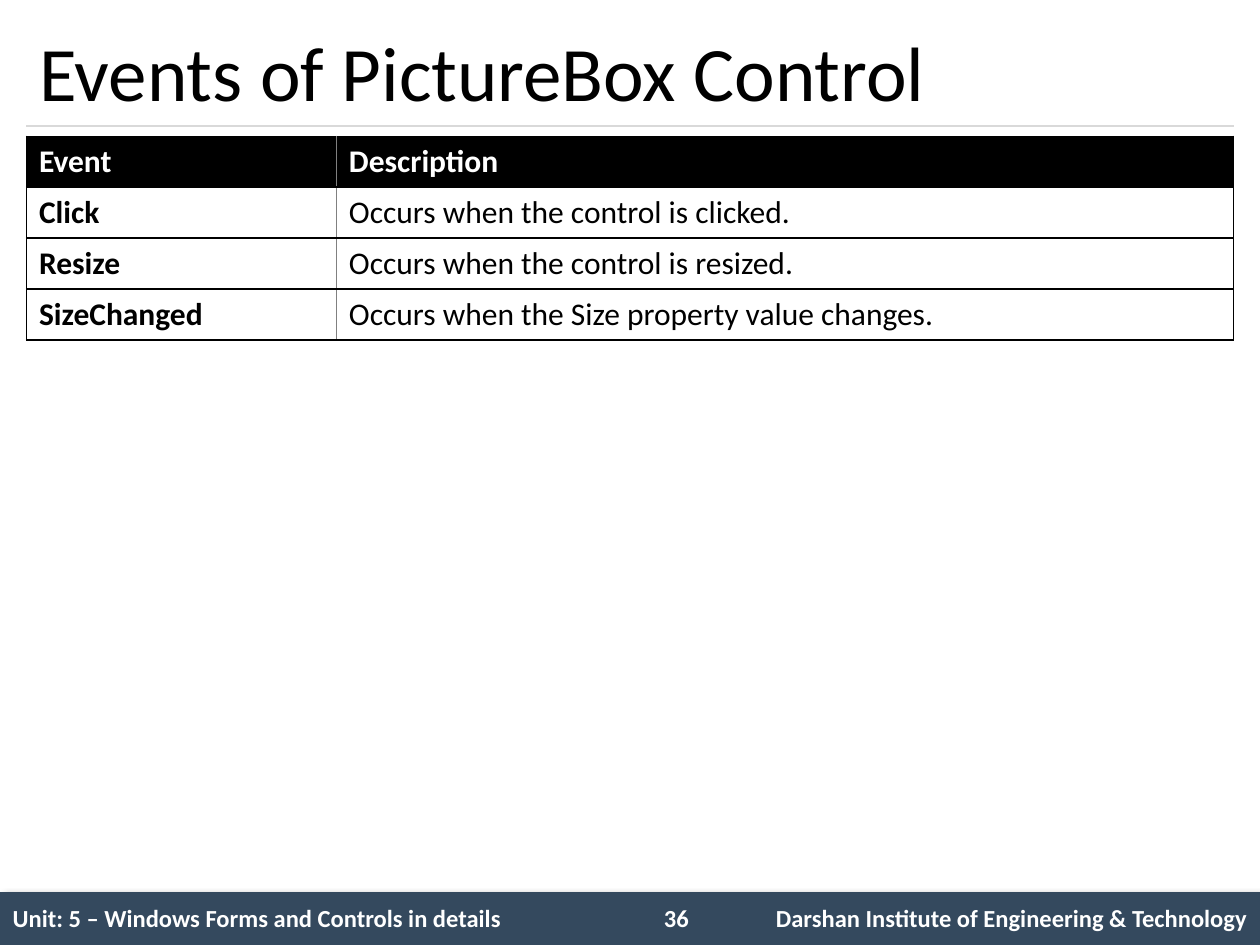
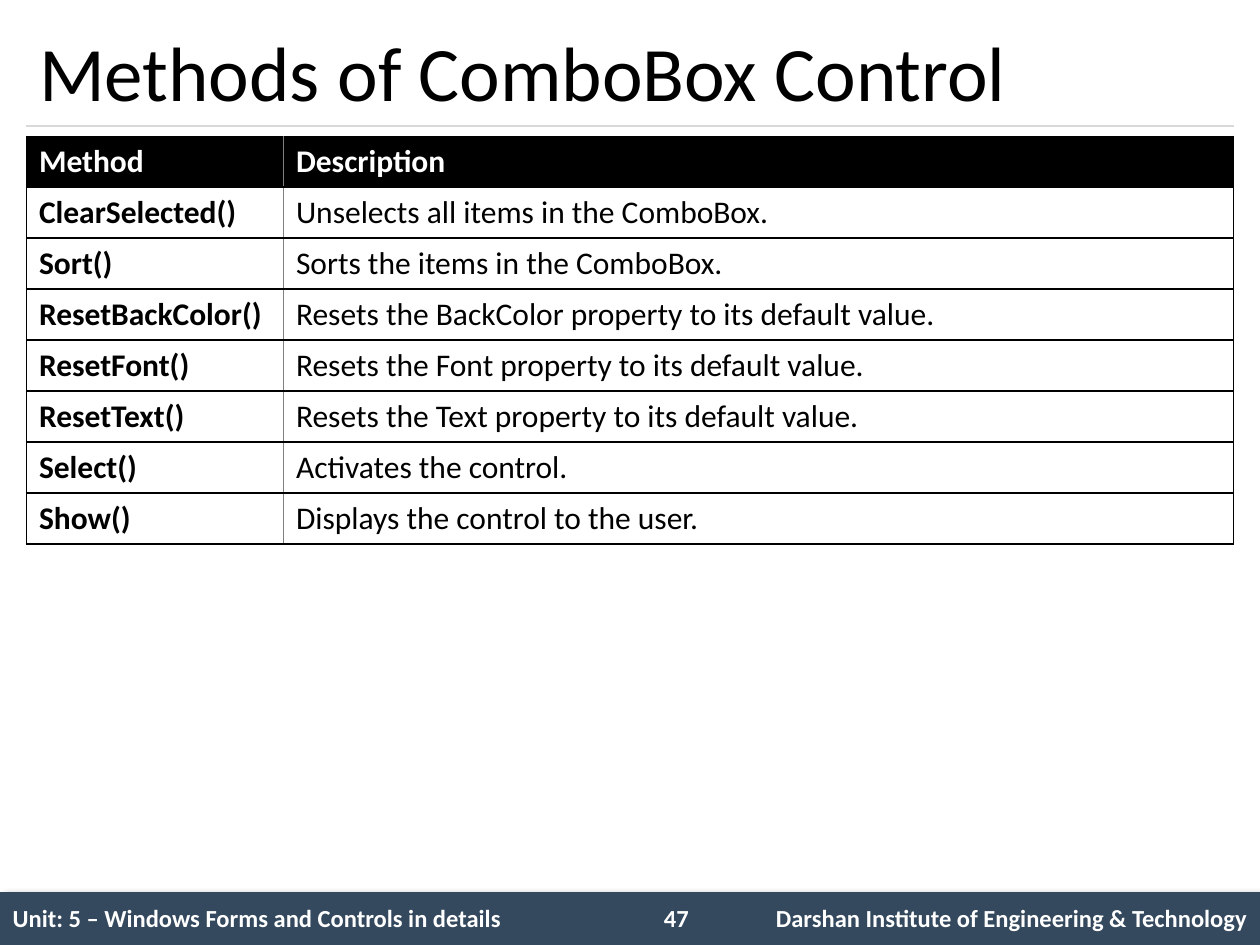
"""Build two reference slides on form controls, each a title, a table and a footer."""
from lxml import etree
from pptx import Presentation, util as u
from pptx.dml.color import RGBColor
from pptx.enum import shapes, text
from pptx.oxml import parse_xml
from pptx.oxml.ns import qn, nsdecls

UNIT = "Unit: 5 – Windows Forms and Controls in details"
SCHOOL = "Darshan Institute of Engineering & Technology"
SLIDES = [
    {"title": "Events of PictureBox Control", "page": "36", "first": 2.46, "rows": [
        ("Event", "Description"),
        ("Click", "Occurs when the control is clicked."),
        ("Resize", "Occurs when the control is resized."),
        ("SizeChanged", "Occurs when the Size property value changes."),
    ]},
    {"title": "Methods of ComboBox Control", "page": "47", "first": 2.04, "rows": [
        ("Method", "Description"),
        ("ClearSelected()", "Unselects all items in the ComboBox."),
        ("Sort()", "Sorts the items in the ComboBox."),
        ("ResetBackColor()", "Resets the BackColor property to its default value."),
        ("ResetFont()", "Resets the Font property to its default value."),
        ("ResetText()", "Resets the Text property to its default value."),
        ("Select()", "Activates the control."),
        ("Show()", "Displays the control to the user."),
    ]},
]

FONT = "Calibri"
BLACK, WHITE, GREY, RULE, NAVY = "000000", "FFFFFF", "808080", "D9D9D9", "34495E"
WIDE, HIGH = 10, 7.5
EDGE, BAND = 0.21, 0.42
SPAN = WIDE - 2 * EDGE
ROW = 1.62 / 4
PLAIN = "{2D5ABB26-0587-4C30-8999-92F81FD0307C}"


def color(code):
    return RGBColor.from_string(code)


def box(*sizes):
    return [u.Inches(size) for size in sizes]


def write(frame, words, size, code, bold=False, align=text.PP_ALIGN.LEFT):
    frame.text = words
    para = frame.paragraphs[0]
    para.alignment = align
    font = para.font
    font.name, font.size, font.bold = FONT, u.Pt(size), bold
    font.color.rgb = color(code)


def border(cell, side, code, width):
    props = cell._tc.get_or_add_tcPr()
    line = etree.SubElement(props, qn("a:ln" + side), w=str(u.Pt(width)))
    fill = etree.SubElement(line, qn("a:solidFill"))
    etree.SubElement(fill, qn("a:srgbClr"), val=code)


def grid(slide, place, cols, count):
    table = slide.shapes.add_table(count, len(cols), *box(*place)).table
    table._tbl.tblPr.find(qn("a:tableStyleId")).text = PLAIN
    table.first_row = table.horz_banding = False
    for col, width in zip(table.columns, cols):
        col.width = u.Inches(width)
    return table


def add_title(slide, words):
    title = slide.shapes.title
    title.left, title.top, title.width, title.height = box(EDGE, 0.12, SPAN, 0.88)
    title.text_frame.vertical_anchor = text.MSO_ANCHOR.MIDDLE
    write(title.text_frame, words, 44, BLACK)
    rule = slide.shapes.add_connector(
        shapes.MSO_CONNECTOR.STRAIGHT, *box(EDGE, 1, WIDE - EDGE, 1))
    rule.line.color.rgb = color(RULE)
    rule.line.width = u.Pt(0.75)
    etree.SubElement(rule._element.spPr, qn("a:effectLst"))


def add_footer(slide, page):
    top = HIGH - BAND
    band = slide.shapes.add_shape(
        shapes.MSO_SHAPE.RECTANGLE, *box(0, top, WIDE, BAND))
    band.fill.solid()
    band.fill.fore_color.rgb = color(NAVY)
    band.line.fill.background()
    band._element.spPr.append(parse_xml(
        f'<a:effectLst {nsdecls("a")}><a:outerShdw blurRad="{u.Pt(4)}" '
        f'dist="{u.Pt(3)}" dir="2700000"><a:srgbClr val="{BLACK}">'
        '<a:alpha val="40000"/></a:srgbClr></a:outerShdw></a:effectLst>'))
    table = grid(slide, (0, top, WIDE, 0.43), (5.08, 0.67, 4.25), 1)
    sides = {0: (UNIT, text.PP_ALIGN.LEFT), 2: (SCHOOL, text.PP_ALIGN.RIGHT)}
    for at, (words, align) in sides.items():
        cell = table.cell(0, at)
        cell.vertical_anchor = text.MSO_ANCHOR.MIDDLE
        write(cell.text_frame, words, 14, WHITE, True, align)
    number = slide.shapes.add_textbox(*box(5.17, 7.12, 0.58, 0.34)).text_frame
    number.word_wrap = True
    write(number, page, 14, WHITE, True)


def add_table(slide, rows, first):
    table = grid(slide, (EDGE, 1.08, SPAN, ROW * len(rows)),
                 (first, SPAN - first), len(rows))
    table.first_row = True
    for r, row in enumerate(rows):
        for c, words in enumerate(row):
            cell, head = table.cell(r, c), r == 0
            write(cell.text_frame, words, 18, WHITE if head else BLACK, head or c == 0)
            for side in "LRTB":
                inner = side == "RL"[c]
                border(cell, side, GREY if inner else BLACK, 1 if inner else 0.75)
            cell.fill.solid()
            cell.fill.fore_color.rgb = color(BLACK if head else WHITE)


def main():
    deck = Presentation()
    deck.slide_width, deck.slide_height = box(WIDE, HIGH)
    for item in SLIDES:
        slide = deck.slides.add_slide(deck.slide_layouts[5])
        add_footer(slide, item["page"])
        add_title(slide, item["title"])
        add_table(slide, item["rows"], item["first"])
    deck.save("out.pptx")


if __name__ == "__main__":
    main()
